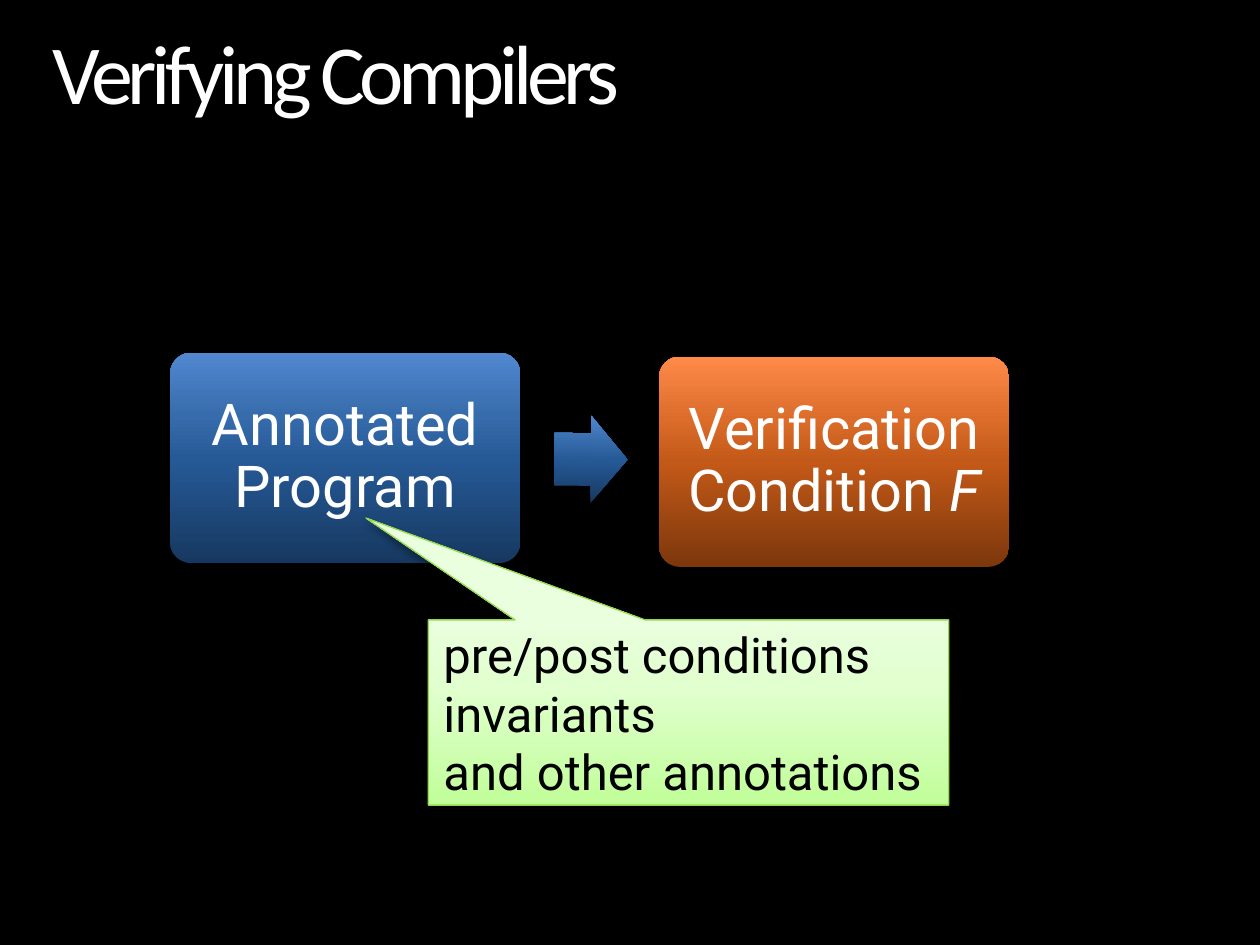
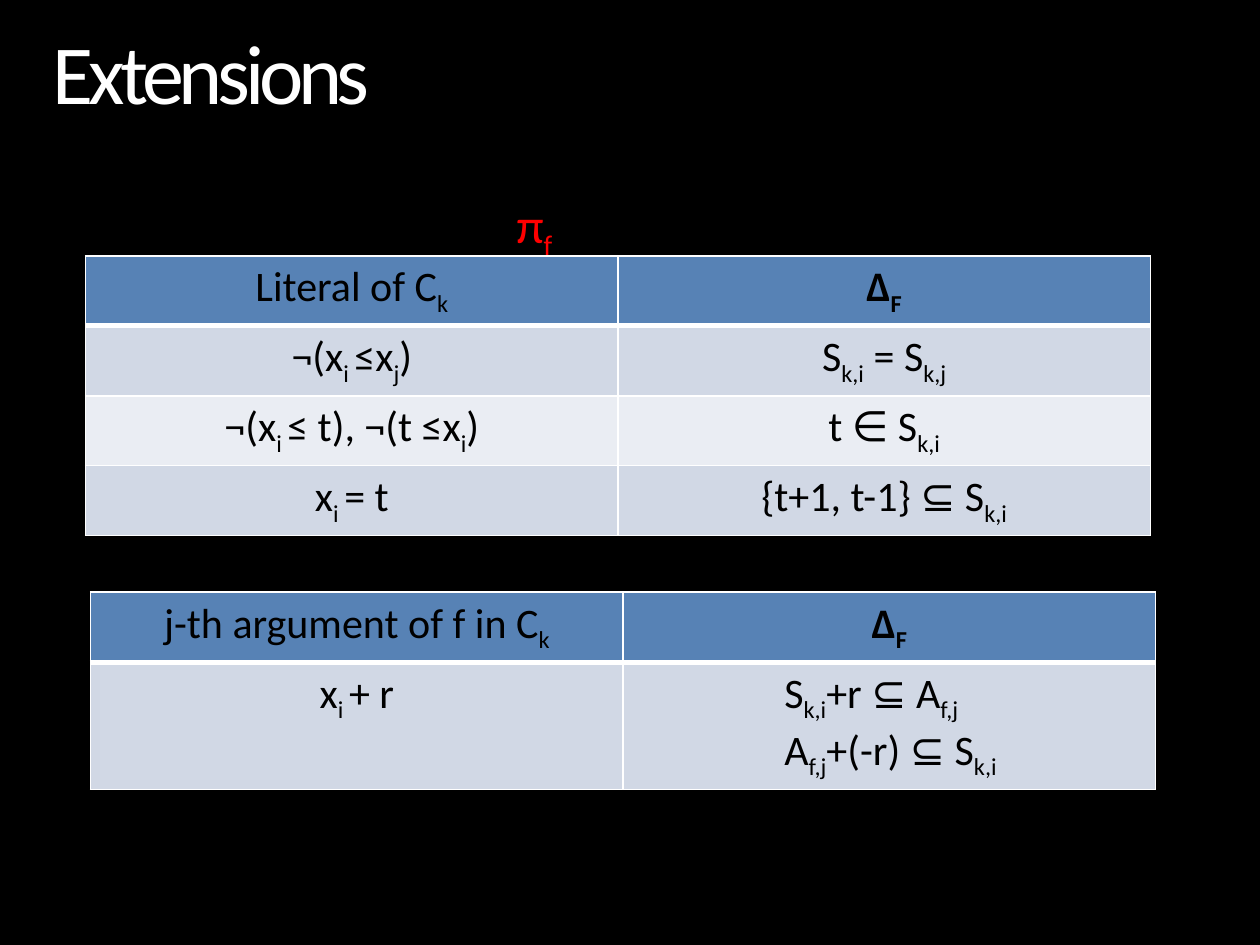
"""Build two slides on verifying compilers and extensions."""
import dataclasses
import typing

import pptx
import pptx.dml.color
import pptx.enum.shapes
import pptx.enum.text
import pptx.oxml
import pptx.oxml.ns
import pptx.util

Stops = tuple[tuple[int, str], ...]
Shape = pptx.enum.shapes.MSO_SHAPE
Align = pptx.enum.text.PP_ALIGN
Anchor = pptx.enum.text.MSO_ANCHOR
NAMESPACE = pptx.oxml.ns.nsdecls("a")
UP, DOWN = 90, 270


@dataclasses.dataclass(frozen=True)
class Theme:
    """Colours, fonts and type sizes shared by the slides."""
    background: str = "000000"
    ink: str = "000000"
    light: str = "FFFFFF"
    accent: str = "FF0000"
    header: str = "5782B5"
    bands: tuple[str, str] = ("D1D8E5", "EAEDF3")
    title_fill: Stops = ((28, "FFFFFF"), (68, "FFDF79"))
    blue: Stops = ((0, "163860"), (50, "265A97"), (70, "376CAC"), (100, "5188D0"))
    orange: Stops = ((0, "7C370C"), (50, "C35918"), (70, "DB6C2A"), (100, "FF8A4A"))
    green: Stops = ((0, "C1FE99"), (65, "E1FFCF"), (100, "EAFFDD"))
    green_line: str = "94D850"
    text_font: str = "Calibri"
    diagram_font: str = "Roboto"
    title_size: int = 48
    box_size: int = 33
    body_size: int = 28
    table_size: int = 24
    line_spacing: float = 0.9


THEME = Theme()


class Frame(typing.NamedTuple):
    """A place on a grid of 100 columns and 75 rows."""
    column: float
    row: float
    columns: float
    rows: float

    def lengths(self) -> tuple[int, ...]:
        """Return left, top, width and height as slide lengths."""
        return tuple(grid(cells) for cells in self)


class Block(typing.NamedTuple):
    """A gradient shape of the diagram with its text."""
    kind: Shape
    frame: Frame
    adjustments: tuple[float, ...]
    fill: Stops
    lines: tuple[str, ...] = ()
    size: int = THEME.box_size
    color: str = THEME.light
    align: Align = Align.CENTER
    margins: tuple[float, float] = (1.4, 1.4)
    spacing: float = THEME.line_spacing
    shadow: tuple[int, int, int] = (45, 5, 3)
    rotation: float = 0
    outline: str | None = None


class Grid(typing.NamedTuple):
    """A two-column table; text between tildes is subscript."""
    frame: Frame
    row_heights: tuple[float, ...]
    rows: tuple[tuple[str, str], ...]


def grid(cells: float) -> int:
    """Convert grid cells to a slide length."""
    return pptx.util.Inches(cells / 10)


def rgb(color: str) -> pptx.dml.color.RGBColor:
    """Convert a hexadecimal colour."""
    return pptx.dml.color.RGBColor.from_string(color)


def fill_gradient(fill, properties, stops: Stops, angle: int) -> None:
    """Fill a shape or a run with a linear gradient."""
    fill.gradient()
    fill.gradient_angle = angle
    stop_list = properties.find(pptx.oxml.ns.qn("a:gradFill")).find(pptx.oxml.ns.qn("a:gsLst"))
    for stop in list(stop_list):
        stop_list.remove(stop)
    for position, color in stops:
        stop_list.append(pptx.oxml.parse_xml(
            f'<a:gs {NAMESPACE} pos="{position * 1000}"><a:srgbClr val="{color}"/></a:gs>'))


def set_margins(holder, horizontal: float, vertical: float) -> None:
    """Set the insets of a text frame or cell in grid cells."""
    holder.margin_left = holder.margin_right = grid(horizontal)
    holder.margin_top = holder.margin_bottom = grid(vertical)


def style_font(run, font: str, size: int, color: str) -> None:
    """Set the font, size and colour of a run."""
    run.font.name = font
    run.font.size = pptx.util.Pt(size)
    run.font.color.rgb = rgb(color)


def write_formula(paragraph, text: str, size: int, color: str) -> None:
    """Write text whose parts between tildes are subscripts."""
    for index, part in enumerate(text.split("~")):
        if part:
            run = paragraph.add_run()
            run.text = part
            style_font(run, THEME.text_font, size, color)
            if index % 2:
                run.font._element.set("baseline", "-25000")


def prepare_placeholder(shape, frame: Frame):
    """Move a placeholder, drop its insets and return its styled paragraph."""
    shape.left, shape.top, shape.width, shape.height = frame.lengths()
    text_frame = shape.text_frame
    set_margins(text_frame, 0, 0)
    text_frame.word_wrap = True
    text_frame.vertical_anchor = Anchor.TOP
    text_frame.auto_size = pptx.enum.text.MSO_AUTO_SIZE.SHAPE_TO_FIT_TEXT
    paragraph = text_frame.paragraphs[0]
    paragraph.alignment = Align.LEFT
    paragraph.line_spacing = THEME.line_spacing
    return paragraph


def add_titled_slide(presentation, layout: int, title: str):
    """Add a slide with the shared title style."""
    slide = presentation.slides.add_slide(presentation.slide_layouts[layout])
    paragraph = prepare_placeholder(slide.shapes.title, Frame(4.2, 2.5, 91.7, 7.3))
    paragraph.text = title
    font = paragraph.runs[0].font
    font.name = THEME.text_font
    font.size = pptx.util.Pt(THEME.title_size)
    fill_gradient(font.fill, font._element, THEME.title_fill, DOWN)
    font._element.set("spc", "-300")
    return slide


def add_block(slide, block: Block):
    """Draw one diagram shape with gradient, shadow and text."""
    shape = slide.shapes.add_shape(block.kind, *block.frame.lengths())
    shape.rotation = block.rotation
    for index, value in enumerate(block.adjustments):
        shape.adjustments[index] = value
    properties = shape._element.spPr
    fill_gradient(shape.fill, properties, block.fill, UP)
    if block.outline:
        shape.line.color.rgb = rgb(block.outline)
        shape.line.width = pptx.util.Pt(0.75)
    else:
        shape.line.fill.background()
    shape.shadow.inherit = False
    opacity, blur, distance = block.shadow
    properties.find(pptx.oxml.ns.qn("a:effectLst")).append(pptx.oxml.parse_xml(
        f'<a:outerShdw {NAMESPACE} blurRad="{pptx.util.Pt(blur)}" dist="{pptx.util.Pt(distance)}"'
        f' dir="5400000" rotWithShape="0"><a:srgbClr val="000000">'
        f'<a:alpha val="{opacity * 1000}"/></a:srgbClr></a:outerShdw>'))
    if block.lines:
        text_frame = shape.text_frame
        text_frame.word_wrap = True
        text_frame.vertical_anchor = Anchor.MIDDLE
        set_margins(text_frame, *block.margins)
        text_frame.text = "\n".join(block.lines)
        for paragraph in text_frame.paragraphs:
            paragraph.alignment = block.align
            paragraph.line_spacing = block.spacing
            for run in paragraph.runs:
                style_font(run, THEME.diagram_font, block.size, block.color)
    return shape


def set_borders(cell, row: int) -> None:
    """Draw white borders, with a thick rule below the header."""
    widths = {"L": 1, "R": 1, "T": 1, "B": 1 if row else 3}
    if row == 1:
        del widths["T"]
    properties = cell._tc.get_or_add_tcPr()
    for index, (side, width) in enumerate(widths.items()):
        properties.insert(index, pptx.oxml.parse_xml(
            f'<a:ln{side} {NAMESPACE} w="{pptx.util.Pt(width)}"><a:solidFill>'
            f'<a:srgbClr val="{THEME.light}"/></a:solidFill></a:ln{side}>'))


def add_grid(slide, content: Grid):
    """Draw a table with a header and banded rows."""
    table = slide.shapes.add_table(len(content.rows), 2, *content.frame.lengths()).table
    for row, (height, texts) in enumerate(zip(content.row_heights, content.rows)):
        table.rows[row].height = grid(height)
        for column, text in enumerate(texts):
            cell = table.cell(row, column)
            set_margins(cell, 1, 0.5)
            cell.fill.solid()
            cell.fill.fore_color.rgb = rgb(THEME.bands[(row - 1) % 2] if row else THEME.header)
            set_borders(cell, row)
            for index, line in enumerate(text.split("\n")):
                frame = cell.text_frame
                paragraph = frame.add_paragraph() if index else frame.paragraphs[0]
                paragraph.alignment = Align.CENTER
                write_formula(paragraph, line, THEME.table_size, THEME.ink)
                for run in paragraph.runs:
                    run.font.bold = row == 0 and column == 1
    return table


def build_compilers(presentation) -> None:
    """Build the slide with the verification diagram."""
    slide = add_titled_slide(presentation, 5, "Verifying Compilers")
    add_block(slide, Block(Shape.ROUNDED_RECTANGLE, Frame(13.5, 28, 27.8, 16.7), (0.1,),
                           THEME.blue, ("Annotated Program",)))
    add_block(slide, Block(Shape.RIGHT_ARROW, Frame(44, 33, 5.8, 6.9), (0.6, 0.5),
                           THEME.blue, rotation=0.5))
    condition = add_block(slide, Block(Shape.ROUNDED_RECTANGLE, Frame(52.3, 28.3, 27.8, 16.7), (0.1,),
                                       THEME.orange, ("Verification Condition ",)))
    symbol = condition.text_frame.paragraphs[0].add_run()
    symbol.text = "F"
    style_font(symbol, THEME.diagram_font, THEME.box_size, THEME.light)
    symbol.font.italic = True
    add_block(slide, Block(Shape.RECTANGULAR_CALLOUT, Frame(34, 49.2, 41.3, 14.7), (-0.62, -1.05),
                           THEME.green, ("pre/post conditions", "invariants", "and other annotations"),
                           THEME.body_size, THEME.ink, Align.LEFT, (1.2, 0.6), 1.0,
                           (35, 4, 3), outline=THEME.green_line))


def build_extensions(presentation) -> None:
    """Build the slide with the two constraint tables."""
    slide = add_titled_slide(presentation, 1, "Extensions")
    predicate = prepare_placeholder(slide.placeholders[1], Frame(41, 15.5, 54.9, 4.2))
    properties = predicate._element.get_or_add_pPr()
    properties.set("marL", "0")
    properties.set("indent", "0")
    properties.append(pptx.oxml.parse_xml(f"<a:buNone {NAMESPACE}/>"))
    write_formula(predicate, "π~f~", THEME.body_size, THEME.accent)
    add_grid(slide, Grid(Frame(6.8, 20.3, 84.5, 20), (5, 5, 5, 5), (
        ("Literal of C~k~", "Δ~F~"),
        ("¬(x~i ~≤x~j~)", "S~k,i~ = S~k,j~"),
        ("¬(x~i ~≤ t), ¬(t ≤x~i~)", "t ∈ S~k,i~"),
        ("x~i ~= t", "{t+1, t-1} ⊆ S~k,i~"))))
    table = add_grid(slide, Grid(Frame(7.2, 47, 84.5, 14), (5, 9), (
        ("j-th argument of f in C~k~", "Δ~F~"),
        ("x~i ~+ r", "S~k,i~+r ⊆ A~f,j~\nA~f,j~+(-r) ⊆ S~k,i~"))))
    inclusions = table.cell(1, 1)
    inclusions.margin_left = grid(12.8)
    for paragraph in inclusions.text_frame.paragraphs:
        paragraph.alignment = Align.LEFT


def main() -> None:
    """Build and save the presentation."""
    presentation = pptx.Presentation()
    presentation.slide_width, presentation.slide_height = grid(100), grid(75)
    background = presentation.slide_master.background.fill
    background.solid()
    background.fore_color.rgb = rgb(THEME.background)
    build_compilers(presentation)
    build_extensions(presentation)
    presentation.save("out.pptx")


if __name__ == "__main__":
    main()
